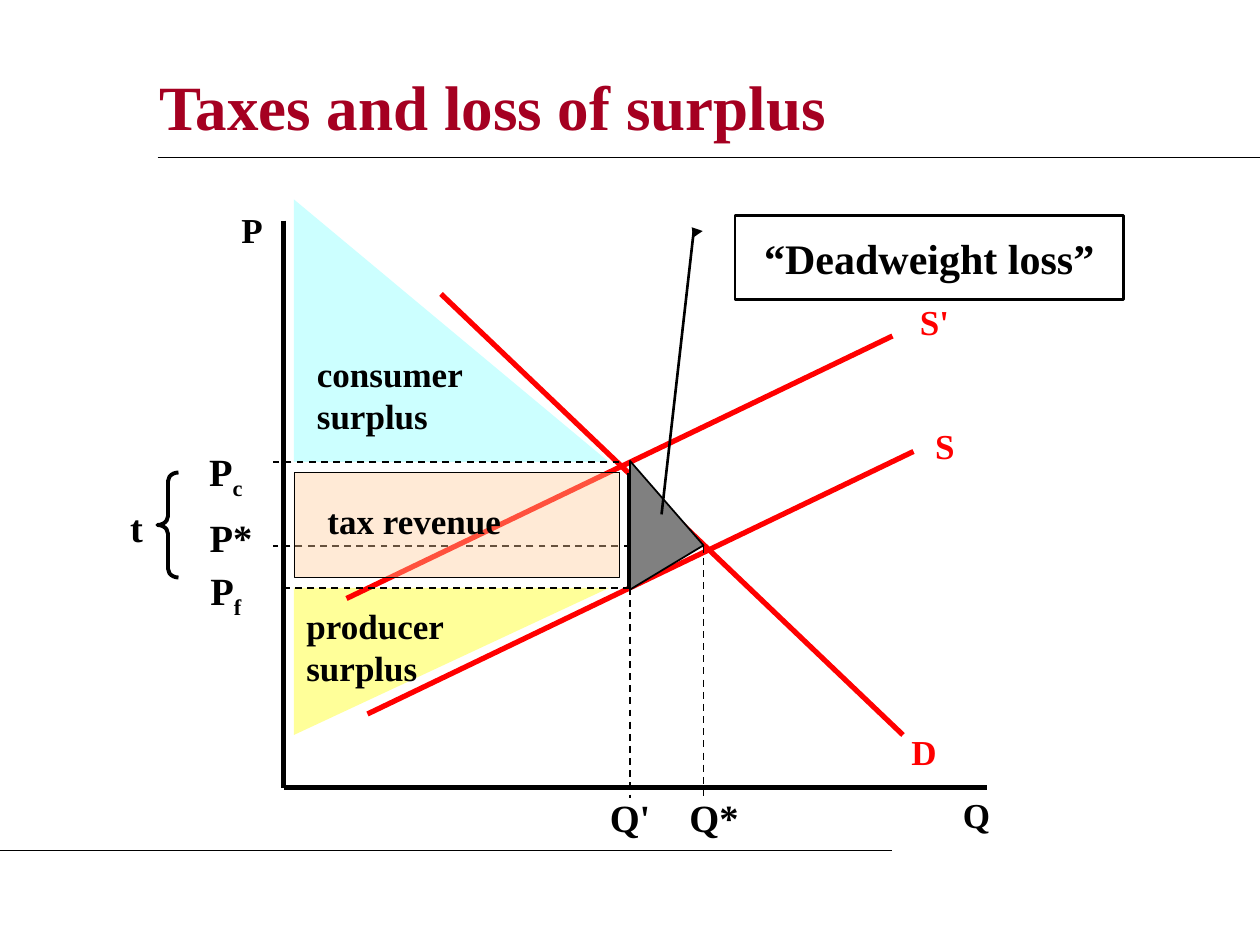
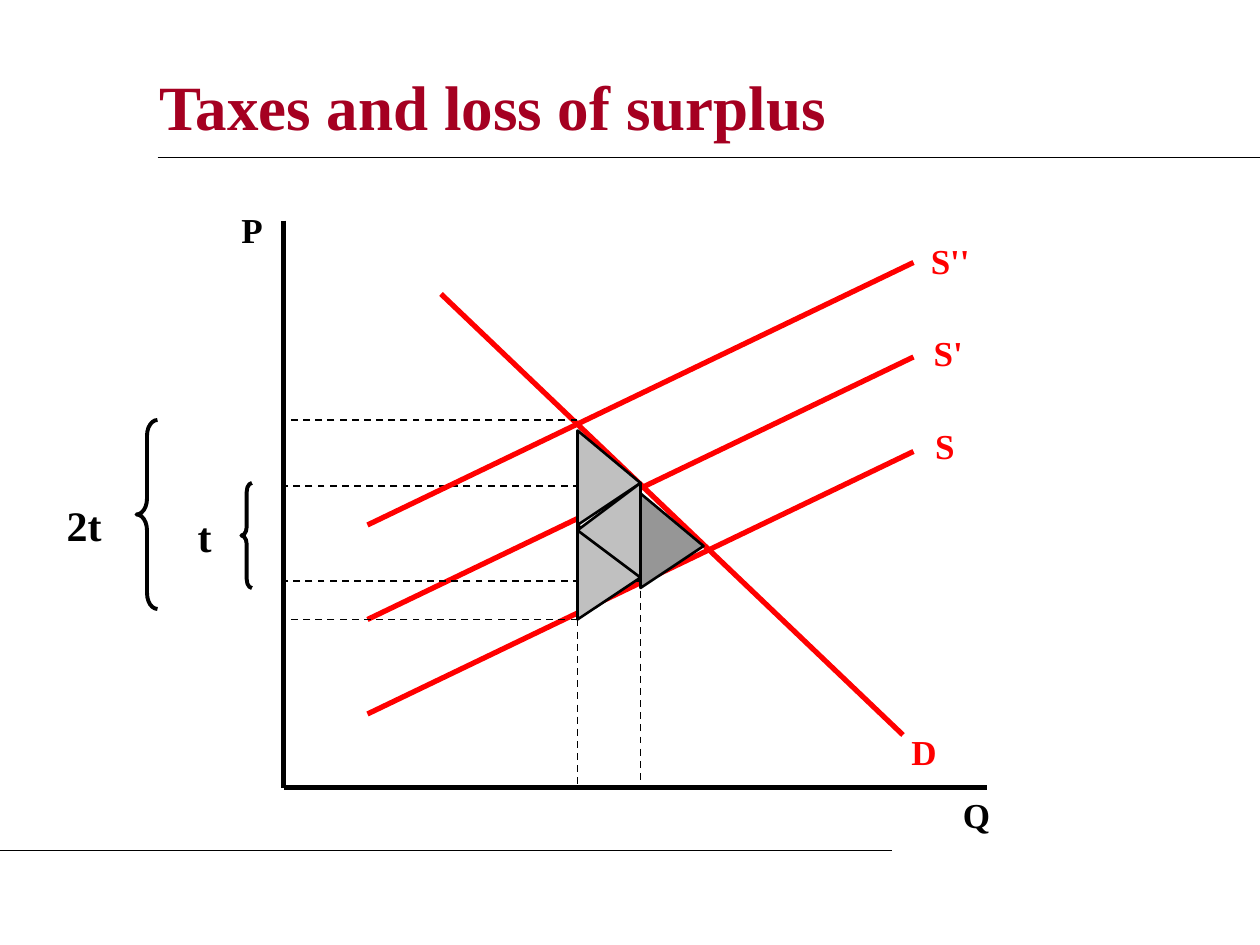
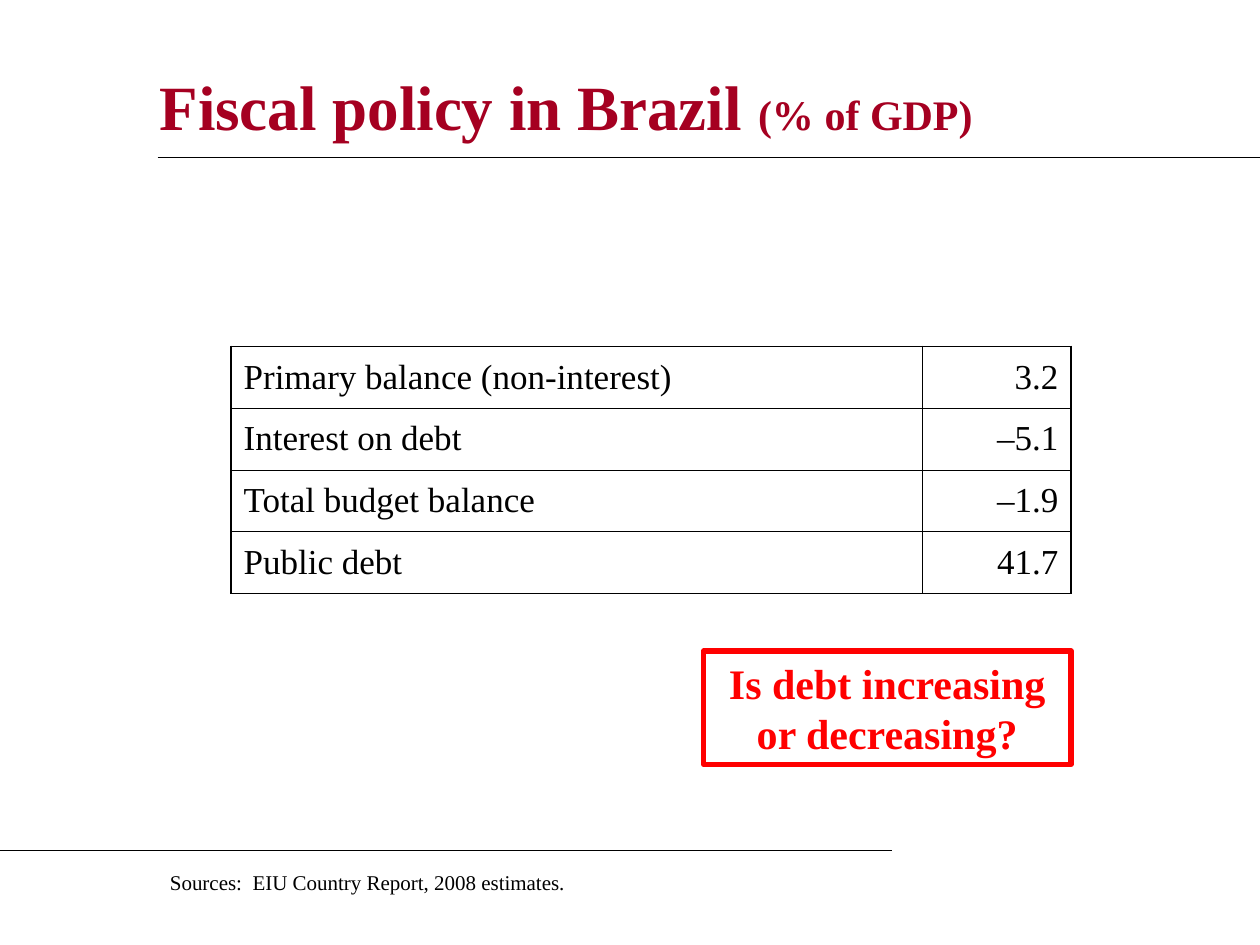
import dataclasses

import pptx
import pptx.dml.color
import pptx.enum.dml
import pptx.enum.shapes
import pptx.enum.text
import pptx.oxml.ns
import pptx.util
from lxml import etree

SHAPE = pptx.enum.shapes.MSO_SHAPE
ALIGN = pptx.enum.text.PP_ALIGN
ANCHOR = pptx.enum.text.MSO_ANCHOR
qn = pptx.oxml.ns.qn

# The slide is a grid of 120 columns by 90 rows, twelve to the inch
COLUMNS, ROWS = 120, 90


@dataclasses.dataclass(frozen=True)
class Theme:
    font: str = "Times New Roman"
    ink: str = "000000"
    title: str = "A50021"
    curve: str = "FF0000"
    consumer: str = "CCFFFF"
    producer: str = "FFFF99"
    revenue: str = "FFCC99"
    loss: str = "808080"
    first_loss: str = "969696"
    second_loss: str = "C0C0C0"
    title_size: int = 36
    callout_size: int = 24
    price_size: int = 22
    body_size: int = 20
    source_size: int = 12
    thick: float = 3
    brace: float = 2.25
    outline: float = 1.5
    thin: float = 1
    rule: float = 0.75


THEME = Theme()


def grid(*cells):
    return [pptx.util.Inches(cell / 12) for cell in cells]


def rgb(color):
    return pptx.dml.color.RGBColor.from_string(color)


def add_run(paragraph, text, size, color=THEME.ink, bold=True, subscript=False):
    run = paragraph.add_run()
    run.text = text
    run.font.name = THEME.font
    run.font.size = pptx.util.Pt(size)
    run.font.bold = bold
    run.font.color.rgb = rgb(color)
    if subscript:
        run.font._element.set("baseline", "-25000")


def text_height(size, lines=1):
    """Rows taken by lines of text with the margins above and below."""
    return lines * size * 0.2 + 1.2


def add_label(slide, text, left, top, width=8, size=THEME.body_size,
              color=THEME.ink, align=ALIGN.CENTER, bold=True, subscript="", lines=1):
    box = slide.shapes.add_textbox(*grid(left, top, width, text_height(size, lines)))
    frame = box.text_frame
    frame.word_wrap = True
    frame.auto_size = pptx.enum.text.MSO_AUTO_SIZE.SHAPE_TO_FIT_TEXT
    paragraph = frame.paragraphs[0]
    paragraph.alignment = align
    for number, part in enumerate(text.split("\n")):
        if number:
            paragraph.add_line_break()
        add_run(paragraph, part, size, color, bold)
    if subscript:
        add_run(paragraph, subscript, size, color, bold, subscript=True)


def add_line(slide, start, end, width=THEME.thin, color=THEME.ink, dashed=False):
    line = slide.shapes.add_connector(
        pptx.enum.shapes.MSO_CONNECTOR.STRAIGHT, *grid(*start, *end))
    line.line.color.rgb = rgb(color)
    line.line.width = pptx.util.Pt(width)
    if dashed:
        line.line.dash_style = pptx.enum.dml.MSO_LINE.DASH
    etree.SubElement(line._element.spPr, qn("a:effectLst"))


def add_guide(slide, start, end):
    add_line(slide, start, end, dashed=True)


def add_area(slide, kind, left, top, width, height, fill=None, line=None, color=THEME.ink):
    area = slide.shapes.add_shape(kind, *grid(left, top, width, height))
    area.shadow.inherit = False
    if fill:
        area.fill.solid()
        area.fill.fore_color.rgb = rgb(fill)
    else:
        area.fill.background()
    if line:
        area.line.color.rgb = rgb(color)
        area.line.width = pptx.util.Pt(line)
    else:
        area.line.fill.background()
    return area


def add_box_text(box, text, color, anchor):
    frame = box.text_frame
    frame.word_wrap = True
    frame.vertical_anchor = anchor
    frame.paragraphs[0].alignment = ALIGN.CENTER
    add_run(frame.paragraphs[0], text, THEME.callout_size, color)


def add_loss(slide, left, top, width, height, apex, fill, line, turn=90):
    """Triangle on its side; the frame is centred on the area it covers."""
    loss = add_area(slide, SHAPE.ISOSCELES_TRIANGLE, left + (width - height) / 2,
                    top + (height - width) / 2, height, width, fill, line)
    loss.adjustments[0] = apex
    loss.rotation = turn


def add_brace(slide, left, top, width, height):
    brace = add_area(slide, SHAPE.LEFT_BRACE, left, top, width, height, line=THEME.brace)
    brace.adjustments[0] = height / width / 12
    brace.adjustments[1] = 0.5


def add_supply(slide, name, right, top, label, run=52, rise=25):
    add_line(slide, (right, top), (right - run, top + rise), THEME.thick, THEME.curve)
    add_label(slide, name, *label, color=THEME.curve)


def add_slide(deck, title, note="", title_width=97):
    """Slide with the shared title style and the two rules."""
    slide = deck.slides.add_slide(deck.slide_layouts[5])
    heading = slide.shapes.title
    heading.left, heading.top, heading.width, heading.height = grid(14, 5, title_width, 10)
    frame = heading.text_frame
    frame.auto_size = pptx.enum.text.MSO_AUTO_SIZE.NONE
    frame.vertical_anchor = ANCHOR.MIDDLE
    frame.paragraphs[0].alignment = ALIGN.LEFT
    add_run(frame.paragraphs[0], title, THEME.title_size, THEME.title)
    if note:
        add_run(frame.paragraphs[0], note, THEME.callout_size, THEME.title)
    add_line(slide, (15, 15), (COLUMNS, 15), THEME.rule)
    add_line(slide, (0, 81), (85, 81), THEME.rule)
    return slide


def add_market(deck):
    """Slide with the axes, the demand curve and the untaxed supply curve."""
    slide = add_slide(deck, "Taxes and loss of surplus")
    add_line(slide, (27, 21), (27, 75), THEME.thick)
    add_line(slide, (94, 75), (27, 75), THEME.thick)
    add_label(slide, "Q", 89, 75)
    add_label(slide, "P", 20, 19.3)
    add_supply(slide, "S", 87, 43, (86, 39.8))
    add_line(slide, (42, 28), (86, 70), THEME.thick, THEME.curve)
    add_label(slide, "D", 84, 69, color=THEME.curve)
    return slide


def build_single_tax(deck):
    slide = add_market(deck)
    price = {"size": THEME.price_size}

    # Equilibrium without the tax
    add_guide(slide, (67, 52), (26, 52))
    add_guide(slide, (67, 52), (67, 76))
    add_label(slide, "P*", 17, 48.4, 10, **price)
    add_label(slide, "Q*", 63, 75, 10, **price)

    # Surplus areas
    add_area(slide, SHAPE.RIGHT_TRIANGLE, 28, 19, 30, 25, THEME.consumer)
    add_label(slide, "consumer\nsurplus", 29, 33, 20, align=ALIGN.LEFT, lines=2)
    producer = add_area(slide, SHAPE.RIGHT_TRIANGLE, 28, 56, 30, 14, THEME.producer)
    producer._element.spPr.find(qn("a:xfrm")).set("flipV", "1")
    add_label(slide, "producer surplus", 28, 57, 17, align=ALIGN.LEFT, lines=2)

    # Taxed supply and the deadweight loss
    add_supply(slide, "S'", 85, 32, (85, 28))
    add_line(slide, (60, 45), (60, 56), THEME.thick)
    add_loss(slide, 60, 43.9, 7, 12.25, 0.656, THEME.loss, THEME.thin)
    callout = add_area(slide, SHAPE.LINE_CALLOUT_2, 70, 20.5, 37, 8, line=THEME.outline)
    for index, share in enumerate((0.188, -0.083, 0.185, -0.106, 3.562, -0.189)):
        callout.adjustments[index] = share
    etree.SubElement(callout._element.spPr.find(qn("a:ln")), qn("a:headEnd"), type="triangle")
    add_box_text(callout, "“Deadweight loss”", THEME.ink, ANCHOR.MIDDLE)

    # Prices with the tax
    add_guide(slide, (59, 44), (26, 44))
    add_label(slide, "P", 17, 42.1, 9, subscript="c", **price)
    add_guide(slide, (60, 56), (27, 56))
    add_label(slide, "P", 17, 53.4, 9, subscript="f", **price)

    # Tax revenue
    revenue = add_area(slide, SHAPE.RECTANGLE, 28, 45, 31, 10, THEME.revenue, 0.25)
    tint = revenue._element.spPr.find(qn("a:solidFill")).find(qn("a:srgbClr"))
    etree.SubElement(tint, qn("a:alpha"), val="40000")
    add_label(slide, "tax revenue", 30, 47, 25, align=ALIGN.LEFT)
    add_brace(slide, 15, 45, 2, 10)
    add_label(slide, "t", 8, 47.4, 10, **price)
    add_guide(slide, (60, 56), (60, 76))
    add_label(slide, "Q'", 55, 75, 10, **price)


def build_double_tax(deck):
    slide = add_market(deck)
    first, second = 61, 55  # quantities after one tax and after two
    add_supply(slide, "S'", 87, 34, (86.3, 31))
    for row in (55.3, 46.3):
        add_guide(slide, (first, row), (27, row))
    add_guide(slide, (first, 47), (first, 75))
    add_supply(slide, "S''", 87, 25, (86.5, 22.2))

    # Losses from the first and the second tax
    add_loss(slide, first, 47, 6, 9, 0.556, THEME.first_loss, THEME.outline)
    for top in (50, 41):
        add_loss(slide, second, top, 6, 9, 0.556, THEME.second_loss, THEME.outline)
    add_guide(slide, (second, 59), (second, 75))

    # Size of each tax
    add_brace(slide, 23, 46, 1, 10)
    add_brace(slide, 13, 40, 2, 18)
    add_label(slide, "t", 17, 48, 5, THEME.callout_size)
    add_label(slide, "2t", 4, 47, 8, THEME.callout_size)
    for row in (40, 59):
        add_guide(slide, (second, row), (27, row))
    add_loss(slide, second, 46, 6, 9, 0.5, THEME.second_loss, THEME.outline, turn=270)


def set_borders(cell, widths):
    """Cell borders in points: left, right, top, bottom."""
    properties = cell._tc.get_or_add_tcPr()
    for index, (side, width) in enumerate(zip("LRTB", widths)):
        border = etree.Element(qn(f"a:ln{side}"), w=str(pptx.util.Pt(width)))
        fill = etree.SubElement(border, qn("a:solidFill"))
        etree.SubElement(fill, qn("a:srgbClr"), val=THEME.ink)
        properties.insert(index, border)


def add_figures(slide, figures, left, top, widths, row_height):
    count = len(figures)
    table = slide.shapes.add_table(
        count, len(widths), *grid(left, top, sum(widths), count * row_height)).table
    table.first_row = table.horz_banding = False
    for column, width in zip(table.columns, grid(*widths)):
        column.width = width
    inner, outer = 0.45, 1.08
    for r, values in enumerate(figures):
        for c, value in enumerate(values):
            cell = table.cell(r, c)
            cell.fill.background()
            cell.vertical_anchor = ANCHOR.MIDDLE
            paragraph = cell.text_frame.paragraphs[0]
            paragraph.alignment = ALIGN.RIGHT if c else ALIGN.LEFT
            add_run(paragraph, value, THEME.body_size, bold=False)
            edges = (c == 0, c == len(widths) - 1, r == 0, r == count - 1)
            set_borders(cell, [outer if edge else inner for edge in edges])


def build_brazil(deck):
    slide = add_slide(deck, "Fiscal policy in Brazil ", "(% of GDP)", 102)
    add_label(slide, "Sources:  EIU Country Report, 2008 estimates.", 15, 82.2, 80,
              THEME.source_size, align=ALIGN.LEFT, bold=False)
    add_figures(slide, [
        ("Primary balance (non-interest)", "3.2"),
        ("Interest on debt", "–5.1"),
        ("Total budget balance", "–1.9"),
        ("Public debt", "41.7"),
    ], 22, 33, (65.8, 14.2), 5.88)
    question = add_area(slide, SHAPE.RECTANGLE, 67, 62, 35, text_height(THEME.callout_size, 2),
                        line=THEME.thick, color=THEME.curve)
    add_box_text(question, "Is debt increasing or decreasing?", THEME.curve, ANCHOR.TOP)


def main():
    deck = pptx.Presentation()
    deck.slide_width, deck.slide_height = grid(COLUMNS, ROWS)
    build_single_tax(deck)
    build_double_tax(deck)
    build_brazil(deck)
    deck.save("out.pptx")


if __name__ == "__main__":
    main()
